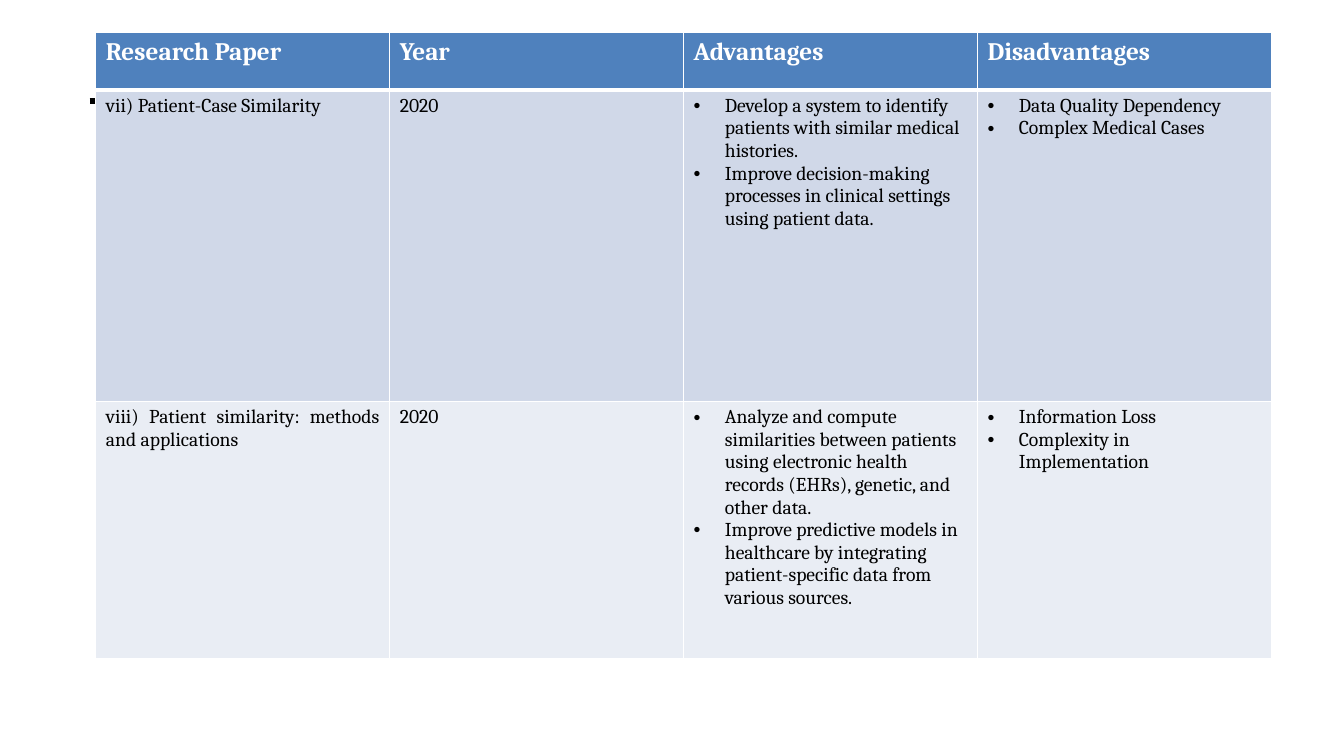
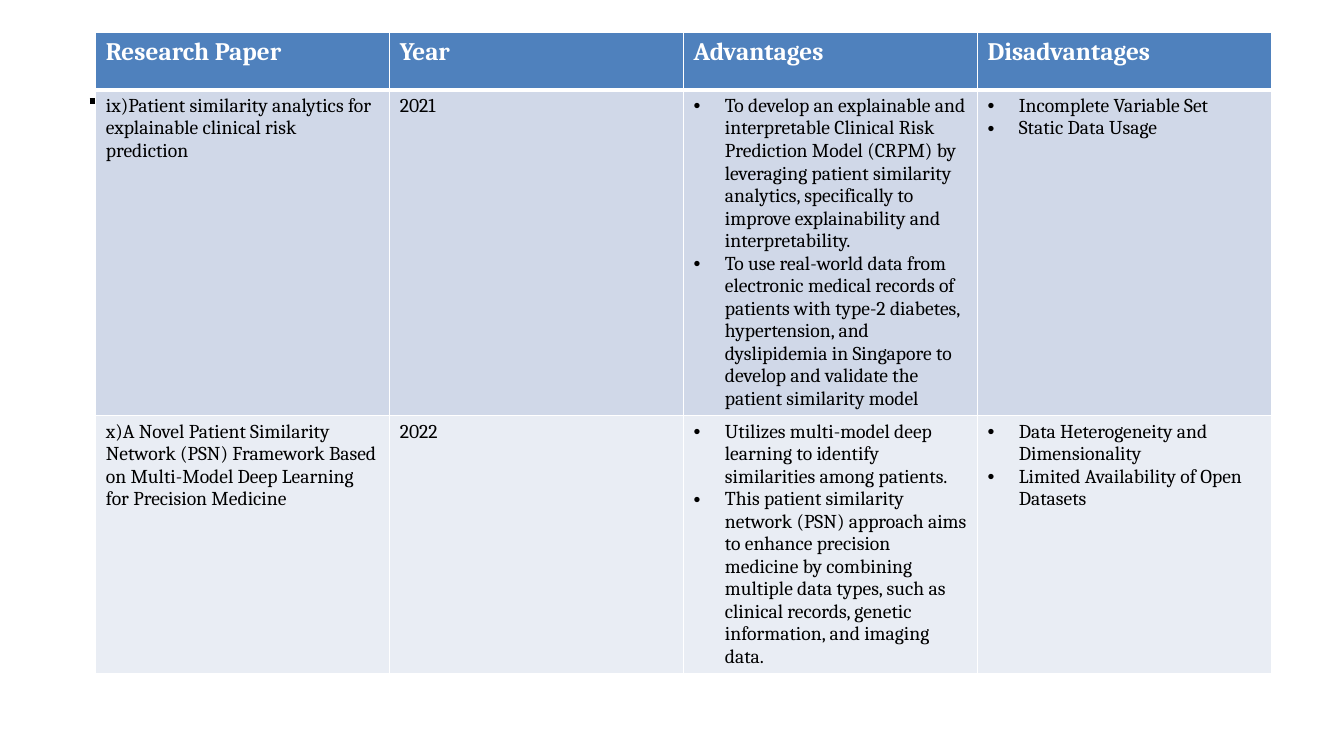
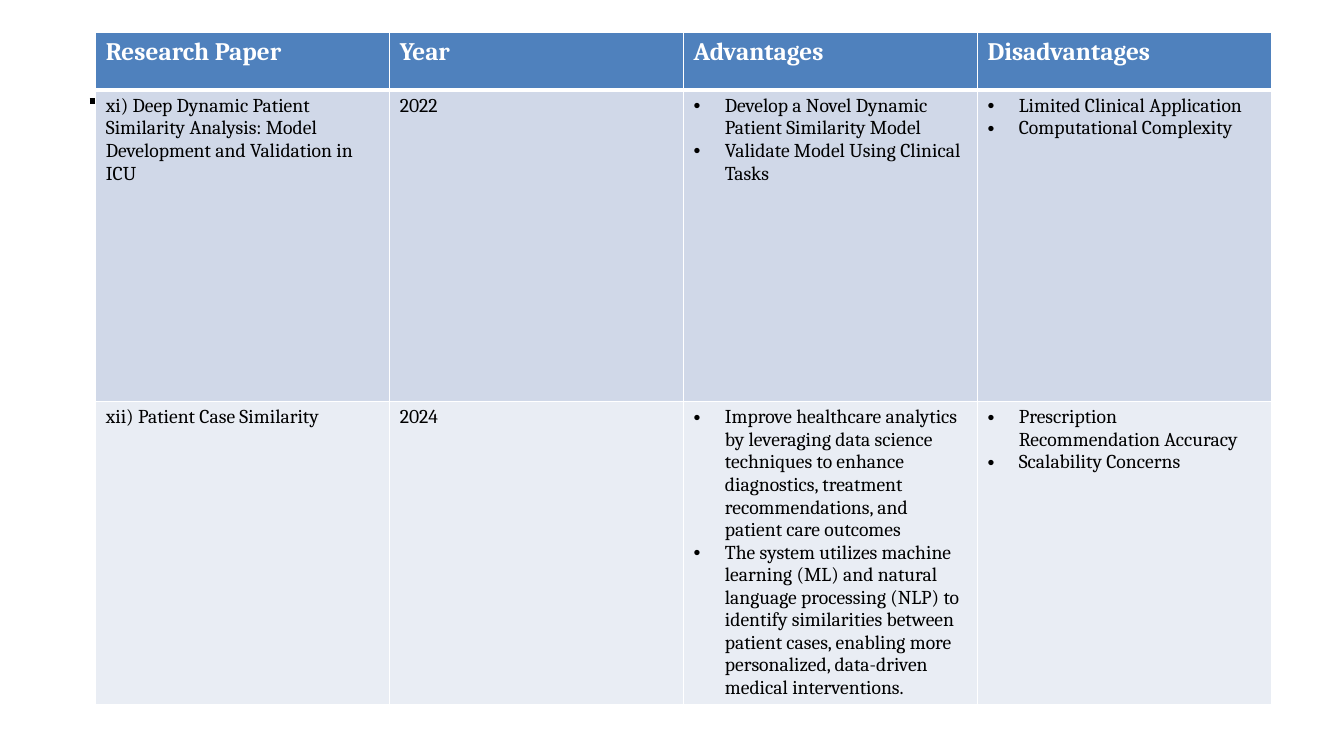
from lxml.etree import SubElement
from pptx import Presentation
from pptx.dml.color import RGBColor
from pptx.enum.shapes import MSO_CONNECTOR
from pptx.enum.text import PP_ALIGN
from pptx.oxml.ns import qn
from pptx.util import Inches, Pt

FONT = "Cambria"
WHITE = "FFFFFF"
BLACK = "000000"
HEADER_FILL = "4F81BD"
ROW_FILLS = ["D0D8E8", "E9EDF4"]
HEADINGS = ["Research Paper", "Year", "Advantages", "Disadvantages"]
TABLE_LEFT, TABLE_TOP, TABLE_WIDTH = 0.95, 0.32, 11.66
ROW_HEIGHTS = [0.57, 3.09, 2.55]
BULLET_INDENT = 0.31
LEFT, JUSTIFY = PP_ALIGN.LEFT, PP_ALIGN.JUSTIFY

REVIEWS = [
    [
        ("vii) Patient-Case Similarity", JUSTIFY, "2020",
         ["Develop a system to identify patients with similar medical histories.",
          "Improve decision-making processes in clinical settings using patient data."],
         ["Data Quality Dependency", "Complex Medical Cases"]),
        ("viii) Patient similarity: methods and applications", JUSTIFY, "2020",
         ["Analyze and compute similarities between patients using electronic health "
          "records (EHRs), genetic, and other data.",
          "Improve predictive models in healthcare by integrating patient-specific data "
          "from various sources."],
         ["Information Loss", "Complexity in Implementation"]),
    ],
    [
        ("ix)Patient similarity analytics for explainable clinical risk prediction",
         LEFT, "2021",
         ["To develop an explainable and interpretable Clinical Risk Prediction Model "
          "(CRPM) by leveraging patient similarity analytics, specifically to improve "
          "explainability and interpretability.",
          "To use real-world data from electronic medical records of patients with type-2 "
          "diabetes, hypertension, and dyslipidemia in Singapore to develop and validate "
          "the patient similarity model"],
         ["Incomplete Variable Set", "Static Data Usage"]),
        ("x)A Novel Patient Similarity Network (PSN) Framework Based on Multi-Model Deep "
         "Learning for Precision Medicine", LEFT, "2022",
         ["Utilizes multi-model deep learning to identify similarities among patients.",
          "This patient similarity network (PSN) approach aims to enhance precision "
          "medicine by combining multiple data types, such as clinical records, genetic "
          "information, and imaging data."],
         ["Data Heterogeneity and Dimensionality",
          "Limited Availability of Open Datasets"]),
    ],
    [
        ("xi) Deep Dynamic Patient Similarity Analysis: Model Development and Validation "
         "in ICU", LEFT, "2022",
         ["Develop a Novel Dynamic Patient Similarity Model",
          "Validate Model Using Clinical Tasks"],
         ["Limited Clinical Application", "Computational Complexity"]),
        ("xii) Patient Case Similarity", JUSTIFY, "2024",
         ["Improve healthcare analytics by leveraging data science techniques to enhance "
          "diagnostics, treatment recommendations, and patient care outcomes",
          "The system utilizes machine learning (ML) and natural language processing (NLP) "
          "to identify similarities between patient cases, enabling more personalized, "
          "data-driven medical interventions."],
         ["Prescription Recommendation Accuracy", "Scalability Concerns"]),
    ],
]


def rgb(value):
    return RGBColor.from_string(value)


def add_bullet(paragraph):
    properties = paragraph._p.get_or_add_pPr()
    properties.set("marL", str(Inches(BULLET_INDENT)))
    properties.set("indent", str(-Inches(BULLET_INDENT)))
    SubElement(properties, qn("a:buFont"), typeface="Arial")
    SubElement(properties, qn("a:buChar"), char="•")


def write(paragraph, text, size=14, color=BLACK, bold=False, align=LEFT, bullet=False):
    paragraph.alignment = align
    if bullet:
        add_bullet(paragraph)
    run = paragraph.add_run()
    run.text = text
    run.font.name = FONT
    run.font.size = Pt(size)
    run.font.bold = bold
    run.font.color.rgb = rgb(color)


def add_borders(cell, widths):
    properties = cell._tc.get_or_add_tcPr()
    for side, width in widths.items():
        border = SubElement(properties, qn(f"a:ln{side}"), w=str(Pt(width)))
        fill = SubElement(border, qn("a:solidFill"))
        SubElement(fill, qn("a:srgbClr"), val=WHITE)


def fill_cell(cell, lines, fill, borders, **style):
    add_borders(cell, borders)
    cell.fill.solid()
    cell.fill.fore_color.rgb = rgb(fill)
    frame = cell.text_frame
    for index, line in enumerate(lines):
        paragraph = frame.add_paragraph() if index else frame.paragraphs[0]
        write(paragraph, line, **style)


def add_rule(slide):
    rule = slide.shapes.add_connector(
        MSO_CONNECTOR.STRAIGHT, Inches(0.89), Inches(1), Inches(12.56), Inches(1))
    rule.line.color.rgb = rgb(BLACK)
    rule.line.width = Pt(4.5)
    SubElement(rule._element.spPr, qn("a:effectLst"))


def add_review_table(slide, papers):
    table = slide.shapes.add_table(
        len(papers) + 1, len(HEADINGS), Inches(TABLE_LEFT), Inches(TABLE_TOP),
        Inches(TABLE_WIDTH), Inches(sum(ROW_HEIGHTS))).table
    for row, height in zip(table.rows, ROW_HEIGHTS):
        row.height = Inches(height)

    for column, heading in enumerate(HEADINGS):
        fill_cell(table.cell(0, column), [heading], HEADER_FILL,
                  {"L": 1, "R": 1, "T": 1, "B": 3}, size=18, color=WHITE, bold=True)

    for row, (paper, align, year, advantages, disadvantages) in enumerate(papers, 1):
        contents = [
            ([paper], {"align": align}),
            ([year], {}),
            (advantages, {"bullet": True}),
            (disadvantages, {"bullet": True}),
        ]
        for column, (lines, style) in enumerate(contents):
            fill_cell(table.cell(row, column), lines, ROW_FILLS[row - 1],
                      {"L": 1, "R": 1, "B": 1}, **style)


def main():
    deck = Presentation()
    deck.slide_width = Inches(13.33)
    deck.slide_height = Inches(7.5)
    for papers in REVIEWS:
        slide = deck.slides.add_slide(deck.slide_layouts[6])
        add_rule(slide)
        add_review_table(slide, papers)
    deck.save("out.pptx")


if __name__ == "__main__":
    main()
